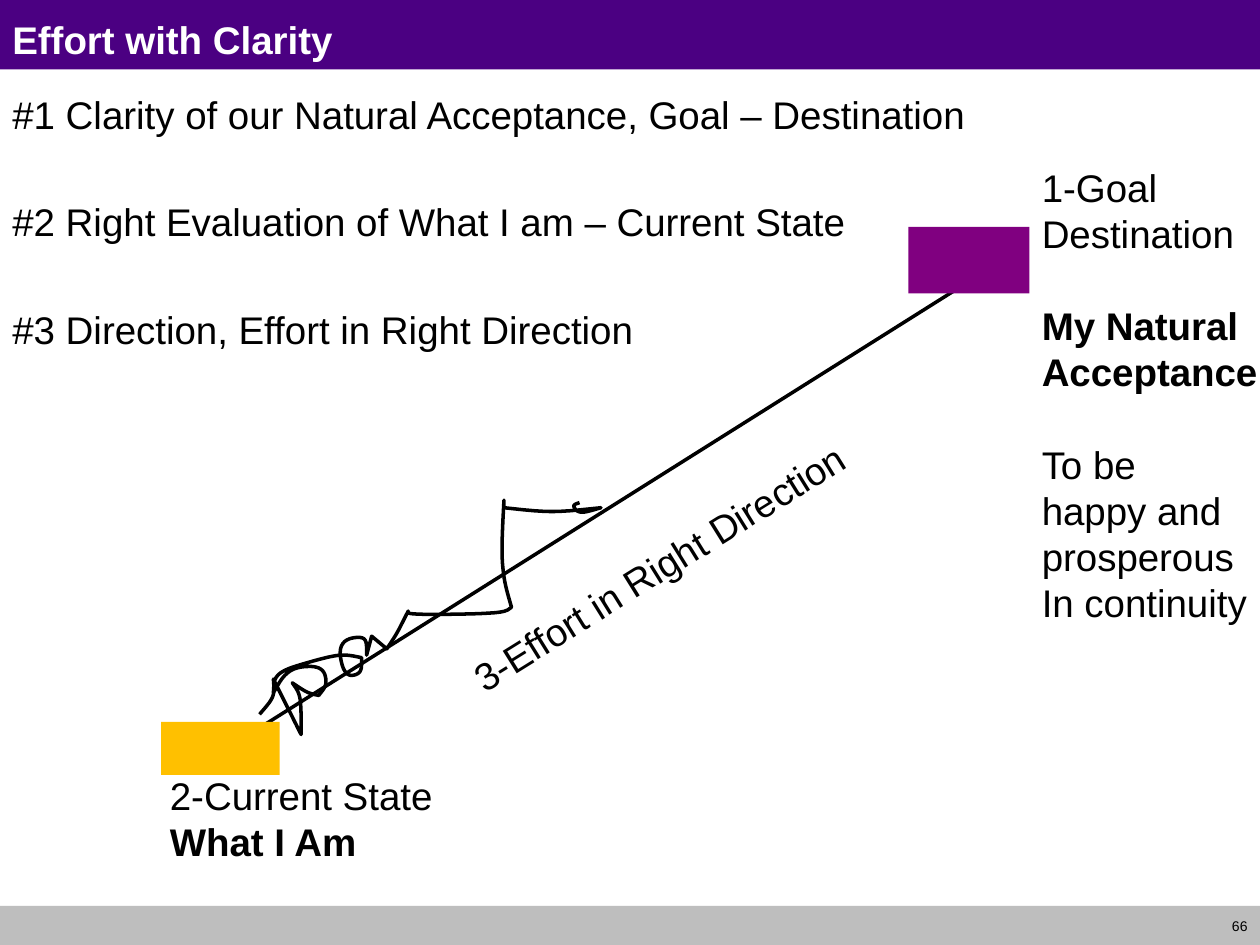
from pptx import Presentation
from pptx.dml.color import RGBColor
from pptx.enum.shapes import MSO_CONNECTOR, MSO_SHAPE
from pptx.enum.text import MSO_ANCHOR, PP_ALIGN
from pptx.oxml.ns import qn
from pptx.util import Inches, Pt
from lxml.etree import SubElement

COLORS = {
    "bar": "4B0082",
    "foot": "BEBEBE",
    "goal": "800080",
    "state": "FFC000",
    "ink": "000000",
    "white": "FFFFFF",
}

# Strokes of the wandering path: each starts where the one before ends.
# Inner points are rounded off; the joints between strokes stay sharp.
START = (2.06, 5.67)
STROKES = {
    "rise": [(2.18, 5.53), (2.17, 5.39)],
    "drop": [(2.33, 5.71), (2.39, 5.83)],
    "back": [(2.39, 5.52), (2.32, 5.42)],
    "dip": [(2.44, 5.5), (2.53, 5.52)],
    "loop": [(2.6, 5.43), (2.56, 5.29), (2.36, 5.29), (2.25, 5.36), (2.17, 5.5)],
    "bridge": [(2.18, 5.34), (2.5, 5.24), (2.72, 5.19), (2.87, 5.22)],
    "ring": [(2.87, 5.35), (2.73, 5.37), (2.68, 5.09), (2.91, 5.04), (2.91, 5.2)],
    "peak": [(2.95, 5.05)],
    "dent": [(3.07, 5.15)],
    "slope": [(3.15, 5.03), (3.24, 4.85)],
    "step": [(3.24, 4.88), (3.99, 4.87), (4.06, 4.82)],
    "climb": [(4, 4.61), (3.98, 4.37), (4, 3.97)],
    "pole": [(4, 4.03)],
    "flag": [(4.38, 4.07), (4.77, 4.03)],
    "hook": [(4.6, 4.08), (4.54, 4.01), (4.6, 3.99)],
}


def blend(a, b, part):
    return tuple(p + (q - p) * part for p, q in zip(a, b))


def smooth(points, rounds=3):
    """Cut each inner corner at the quarter points (Chaikin), ends kept."""
    for _ in range(rounds):
        cuts = [blend(a, b, part) for a, b in zip(points, points[1:])
                for part in (0.25, 0.75)]
        points = [points[0], *cuts[1:-1], points[-1]]
    return points


class Deck:
    font = "Arial"
    size = 22
    lead = 1.2  # line height as a multiple of the text size
    weight = Pt(2)

    def __init__(self, prs):
        self.slide = prs.slides.add_slide(prs.slide_layouts[6])
        self.shapes = self.slide.shapes

    def block(self, x, y, w, h, fill):
        box = self.shapes.add_shape(
            MSO_SHAPE.RECTANGLE, Inches(x), Inches(y), Inches(w), Inches(h))
        box.shadow.inherit = False
        box.fill.solid()
        box.fill.fore_color.rgb = RGBColor.from_string(COLORS[fill])
        box.line.fill.background()

    def text(self, x, y, w, h, groups, gap=0, ink="ink", size=size):
        """Write groups of (bold, lines), with a gap before each later group."""
        box = self.shapes.add_textbox(Inches(x), Inches(y), Inches(w), Inches(h))
        frame = box.text_frame
        frame.word_wrap = True
        frame.margin_right = 0
        para = None
        for bold, lines in groups:
            for i, line in enumerate(lines):
                first = para is None
                para = frame.paragraphs[0] if first else frame.add_paragraph()
                para.text = line
                para.line_spacing = Pt(size * self.lead)
                para.space_before = Pt(gap if i == 0 and not first else 0)
                para.font.name = self.font
                para.font.size = Pt(size)
                para.font.bold = bold
                para.font.color.rgb = RGBColor.from_string(COLORS[ink])
        return box

    def draw(self, line):
        """Give a line the common ink and weight."""
        line.color.rgb = RGBColor.from_string(COLORS["ink"])
        line.width = self.weight

    def link(self, x1, y1, x2, y2):
        link = self.shapes.add_connector(
            MSO_CONNECTOR.STRAIGHT, Inches(x1), Inches(y1), Inches(x2), Inches(y2))
        self.draw(link.line)
        props = link._element.spPr
        SubElement(props.get_or_add_ln(), qn("a:tailEnd"), type="oval")
        SubElement(props, qn("a:effectLst"))

    def trail(self, start, strokes):
        """Draw strokes end to end as one open outline."""
        points = [start]
        for stroke in strokes:
            points += smooth([points[-1], *stroke])[1:]
        first, *rest = [(Inches(x), Inches(y)) for x, y in points]
        pen = self.shapes.build_freeform(*first)
        pen.add_line_segments(rest, close=False)
        trail = pen.convert_to_shape()
        trail.shadow.inherit = False
        trail.fill.background()
        self.draw(trail.line)


def main():
    prs = Presentation()
    prs.slide_width, prs.slide_height = Inches(10), Inches(7.5)
    deck = Deck(prs)

    # Title bar and footer
    deck.block(0, 0, 10, 0.55, "bar")
    deck.block(0, 7.19, 10, 0.33, "foot")
    page = deck.text(9.53, 7.19, 0.47, 0.32, [(False, ["66"])], size=8)
    page.text_frame.margin_right = Inches(0.1)
    page.text_frame.vertical_anchor = MSO_ANCHOR.MIDDLE
    page.text_frame.paragraphs[0].alignment = PP_ALIGN.RIGHT
    deck.text(0, 0.08, 10, 0.42, [(True, ["Effort with Clarity"])], ink="white")

    # Three steps
    steps = [
        "#1 Clarity of our Natural Acceptance, Goal – Destination",
        "#2 Right Evaluation of What I am – Current State",
        "#3 Direction, Effort in Right Direction",
    ]
    deck.text(0, 0.67, 10, 6.5, [(False, [step]) for step in steps], gap=35.2)

    # Straight way from state to goal
    deck.link(1.61, 6.06, 8.11, 1.97)

    # Labels; the groups of the goal stand one line apart
    goal = [
        (False, ["1-Goal", "Destination"]),
        (True, ["My Natural", "Acceptance"]),
        (False, ["To be", "happy and", "prosperous", "In continuity"]),
    ]
    deck.text(8.17, 1.25, 1.94, 3.8, goal, gap=deck.size * deck.lead)
    state = [(False, ["2-Current State"]), (True, ["What I Am"])]
    deck.text(1.25, 6.08, 2.31, 0.84, state)
    effort = deck.text(3.42, 4.23, 3.73, 0.47,
                       [(False, ["3-Effort in Right Direction"])])
    effort.rotation = 328

    # Wandering path and the two ends
    deck.trail(START, STROKES.values())
    deck.block(7.21, 1.8, 0.96, 0.53, "goal")
    deck.block(1.28, 5.73, 0.94, 0.42, "state")

    prs.save("out.pptx")


if __name__ == "__main__":
    main()
